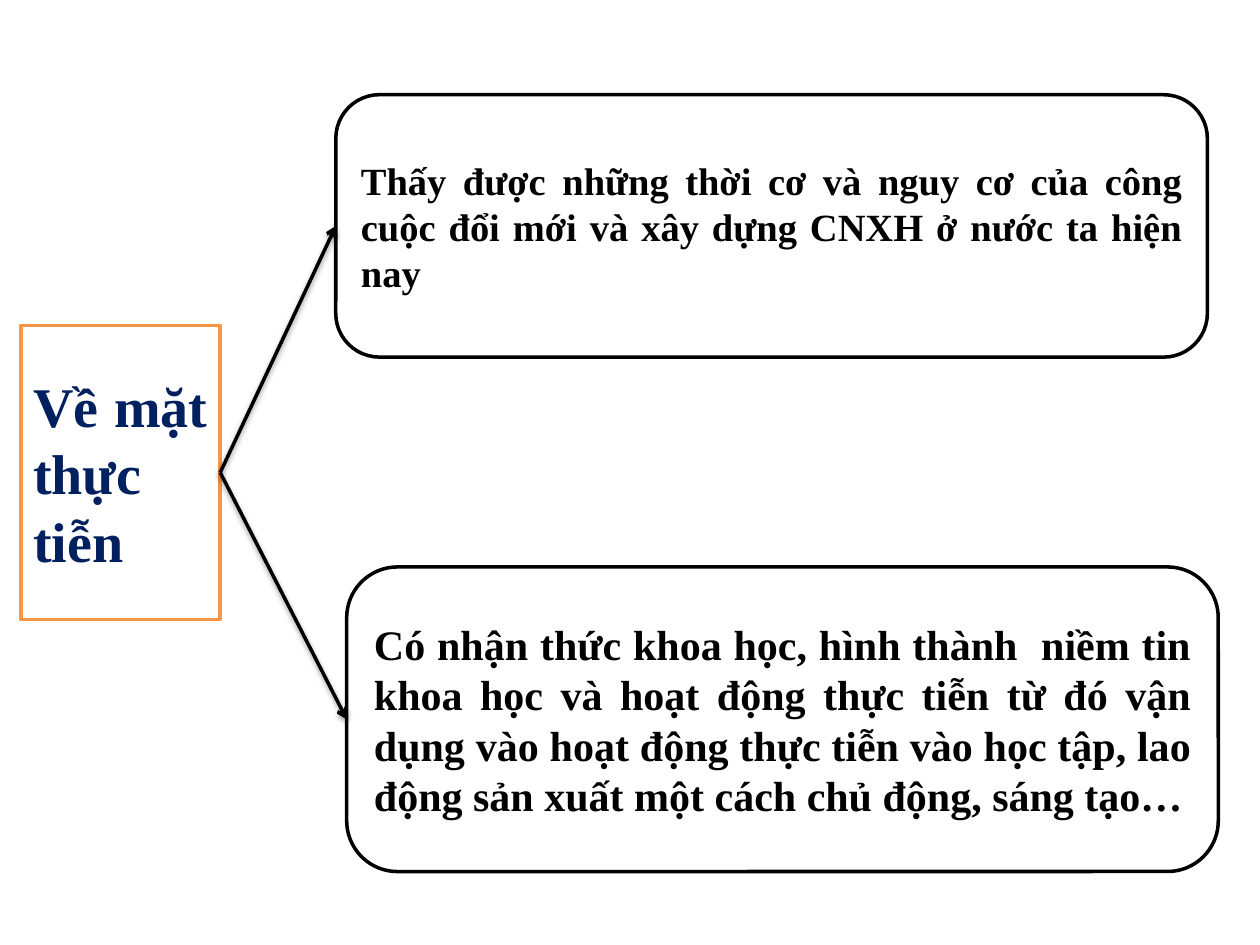
"""Build the slide that links the practical aspect to its two outcomes."""
from dataclasses import dataclass

from lxml.etree import SubElement
from pptx import Presentation
from pptx.dml.color import RGBColor
from pptx.enum.shapes import MSO_CONNECTOR as Link, MSO_SHAPE as Preset
from pptx.enum.text import MSO_ANCHOR as Anchor, PP_ALIGN as Align
from pptx.oxml.ns import qn
from pptx.shapes.autoshape import Shape
from pptx.shapes.connector import Connector
from pptx.slide import Slide
from pptx.util import Cm, Pt

WHITE = RGBColor(0xFF, 0xFF, 0xFF)
BLACK = RGBColor(0x00, 0x00, 0x00)
ORANGE = RGBColor(0xF7, 0x96, 0x46)
NAVY = RGBColor(0x00, 0x20, 0x60)
LINE_WIDTH = Pt(2)
LEFT_SIDE, RIGHT_SIDE = 1, 3
SHADOW = {"blurRad": "40000", "dist": "20000", "dir": "5400000", "rotWithShape": "0"}


@dataclass(frozen=True)
class Box:
    text: str
    left: float
    top: float
    width: float
    height: float
    size: int
    preset: Preset = Preset.ROUNDED_RECTANGLE
    outline: RGBColor = BLACK
    ink: RGBColor = BLACK


ASPECT = Box("Về mặt thực tiễn", 0.42, 6.56, 4.02, 5.93, 32,
             Preset.RECTANGLE, ORANGE, NAVY)
OUTCOMES = (
    Box("Thấy được những thời cơ và nguy cơ của công cuộc đổi mới và xây dựng "
        "CNXH ở nước ta hiện nay", 6.77, 1.91, 17.57, 5.29, 22),
    Box("Có nhận thức khoa học, hình thành  niềm tin khoa học và hoạt động thực "
        "tiễn từ đó vận dụng vào hoạt động thực tiễn vào học tập, lao động sản "
        "xuất một cách chủ động, sáng tạo…", 6.99, 11.43, 17.57, 6.14, 24),
)


def draw_box(slide: Slide, box: Box) -> Shape:
    """Draw one outlined box with justified bold text."""
    shape = slide.shapes.add_shape(
        box.preset, Cm(box.left), Cm(box.top), Cm(box.width), Cm(box.height))
    shape.shadow.inherit = False
    shape.fill.solid()
    shape.fill.fore_color.rgb = WHITE
    shape.line.color.rgb = box.outline
    shape.line.width = LINE_WIDTH
    frame = shape.text_frame
    frame.word_wrap = True
    frame.vertical_anchor = Anchor.MIDDLE
    paragraph = frame.paragraphs[0]
    paragraph.alignment = Align.JUSTIFY
    run = paragraph.add_run()
    run.text = box.text
    font_format = {"name": "Times New Roman", "size": Pt(box.size), "bold": True}
    for attribute, value in font_format.items():
        setattr(run.font, attribute, value)
    run.font.color.rgb = box.ink
    return shape


def draw_arrow(slide: Slide, source: Shape, target: Shape) -> Connector:
    """Join two boxes with a softly shadowed arrow."""
    arrow = slide.shapes.add_connector(Link.STRAIGHT, 0, 0, 0, 0)
    arrow.begin_connect(source, RIGHT_SIDE)
    arrow.end_connect(target, LEFT_SIDE)
    arrow.line.color.rgb = BLACK
    arrow.line.width = LINE_WIDTH
    properties = arrow.element.spPr
    SubElement(properties.find(qn("a:ln")), qn("a:tailEnd"), type="arrow")
    effects = SubElement(properties, qn("a:effectLst"))
    shadow = SubElement(effects, qn("a:outerShdw"), **SHADOW)
    shade = SubElement(shadow, qn("a:srgbClr"), val=str(BLACK))
    SubElement(shade, qn("a:alpha"), val="38000")
    return arrow


def main() -> None:
    """Draw the slide and save it."""
    deck = Presentation()
    deck.slide_width, deck.slide_height = Cm(25.4), Cm(19.05)
    slide = deck.slides.add_slide(deck.slide_layouts[6])
    aspect = draw_box(slide, ASPECT)
    for outcome in OUTCOMES:
        draw_arrow(slide, aspect, draw_box(slide, outcome))
    deck.save("out.pptx")


if __name__ == "__main__":
    main()
